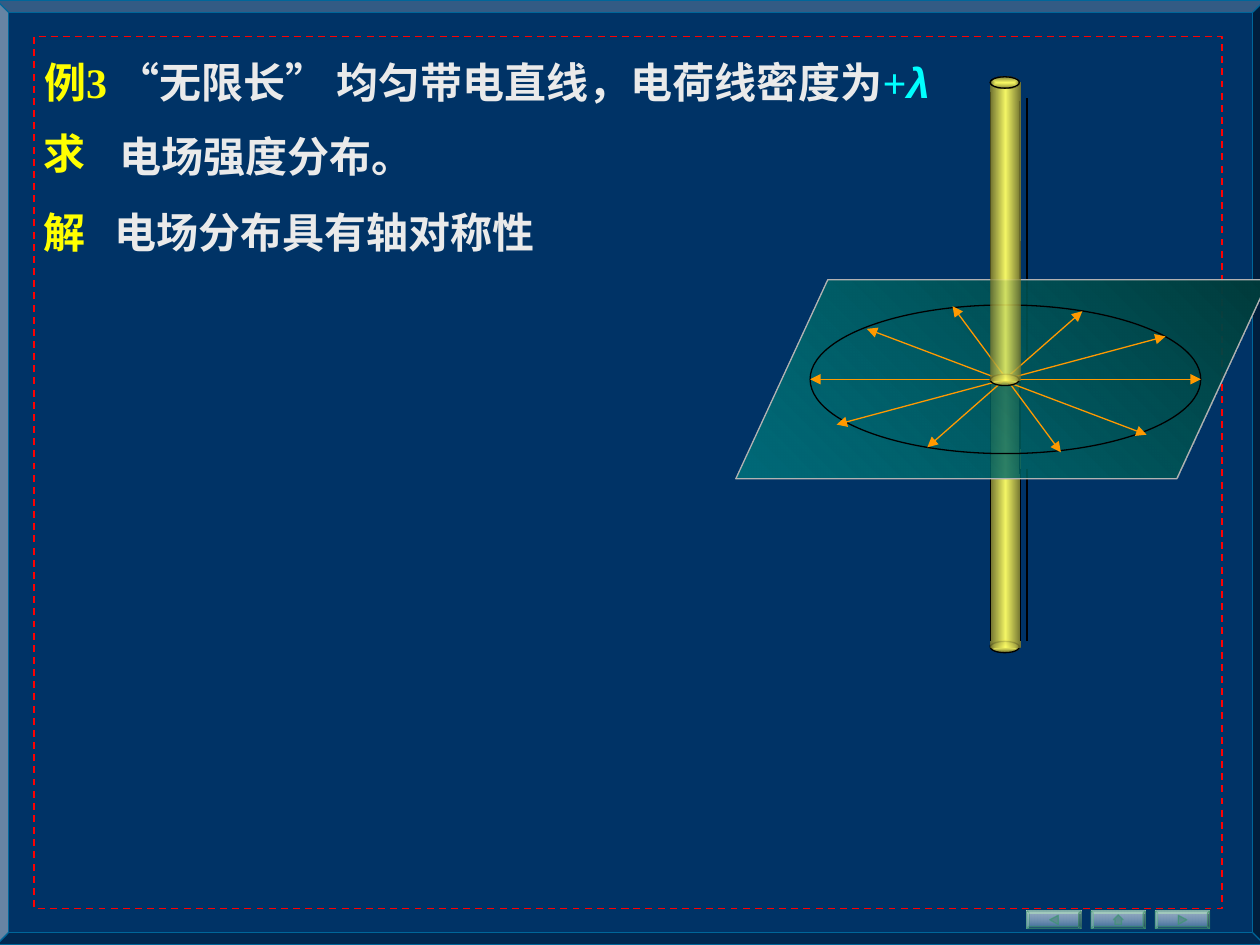
from lxml import etree
from pptx import Presentation, util as u
from pptx.dml.color import RGBColor
from pptx.enum import dml, shapes, text
from pptx.oxml.ns import qn

W, H = 10, 7.5
KIND = shapes.MSO_SHAPE
SONG, ROMAN, SANS = "Noto Sans CJK SC", "Times New Roman", "Arial"
PALE, GOLD, CYAN = "EAEAEA", "FFFF00", "00FFFF"
RIM = [(0, "FFFF66", 90), (100, "75752F", 90)]
TUBE = [(0, "75752F", 80), (50, "FFFF66", 80), (100, "75752F", 80)]
GLASS = [(0, "FFFFFF", 62), (100, "336699", 89)]
PLANE = [(0, "003B3B", 100), (100, "008080", 70)]


def rgb(code):
    return RGBColor.from_string(code)


def add(node, tag, **attrs):
    return etree.SubElement(node, qn(tag), {k: str(v) for k, v in attrs.items()})


def blend(shape, stops, angle=None):
    """Gradient fill with opacity; from the centre when no angle is given."""
    shape.fill.background()
    old = shape._element.spPr.find(qn("a:noFill"))
    grad = etree.Element(qn("a:gradFill"), rotWithShape="1")
    row = add(grad, "a:gsLst")
    for pos, code, alpha in stops:
        stop = add(row, "a:gs", pos=pos * 1000)
        add(add(stop, "a:srgbClr", val=code), "a:alpha", val=alpha * 1000)
    if angle is None:
        way = add(grad, "a:path", path="rect")
        add(way, "a:fillToRect", l=50000, t=50000, r=50000, b=50000)
    else:
        add(grad, "a:lin", ang=angle * 60000, scaled=0)
    old.getparent().replace(old, grad)


def edge(shape, code=None, width=0.75):
    if code is None:
        shape.line.fill.background()
        return
    shape.line.color.rgb = rgb(code)
    shape.line.width = u.Pt(width)


def draw(slide, kind, box, line=None, fill=None, adj=None):
    shape = slide.shapes.add_shape(kind, *map(u.Inches, box))
    shape.shadow.inherit = False
    if adj is not None:
        shape.adjustments[0] = adj
    if fill:
        shape.fill.solid()
        shape.fill.fore_color.rgb = rgb(fill)
    else:
        shape.fill.background()
    edge(shape, line)
    return shape


def wire(slide, start, end, code="000000", arrows=False):
    line = slide.shapes.add_connector(
        shapes.MSO_CONNECTOR.STRAIGHT, *map(u.Inches, (*start, *end)))
    edge(line, code)
    props = line._element.spPr
    if arrows:
        for tag in ("a:headEnd", "a:tailEnd"):
            add(props.find(qn("a:ln")), tag, type="triangle")
    add(props, "a:effectLst")


def write(shape, box, runs, wrap=True, align=text.PP_ALIGN.LEFT):
    """Bold 24 pt line; runs hold (words, font, colour, italic)."""
    shape.left, shape.top, shape.width, shape.height = map(u.Inches, box)
    frame = shape.text_frame
    frame.word_wrap = wrap
    frame.auto_size = text.MSO_AUTO_SIZE.SHAPE_TO_FIT_TEXT
    frame.vertical_anchor = text.MSO_ANCHOR.TOP
    para = frame.paragraphs[0]
    para.alignment = align
    para.font.size, para.font.bold = u.Pt(24), True
    for words, name, code, slant in runs:
        run = para.add_run()
        run.text = words
        run.font.name, run.font.color.rgb = name, rgb(code)
        if slant:
            run.font.italic = True
        add(run._r.get_or_add_rPr(), "a:ea", typeface=SONG)


def button(slide, box, icon):
    """Bevelled key with an icon given as shares of the key."""
    x, y, w, h = box
    key = draw(slide, KIND.BEVEL, box, "339966", adj=0.12)
    pts = [(u.Inches(x + a * w), u.Inches(y + b * h)) for a, b in icon]
    pen = slide.shapes.build_freeform(*pts[0])
    pen.add_line_segments(pts[1:], close=True)
    sign = pen.convert_to_shape()
    sign.shadow.inherit = False
    for part in (key, sign):
        blend(part, GLASS, 90)
        edge(part, "339966", 0)
        tint = part._element.spPr.find(qn("a:ln")).find(".//" + qn("a:srgbClr"))
        add(tint, "a:alpha", val=52000)
    sign.fill.solid()
    sign.fill.fore_color.rgb = rgb("5C8A93")


def border(slide):
    draw(slide, KIND.BEVEL, (-0.03, 0, W + 0.07, H), "006699", "003366", 0.013)
    rule = draw(slide, KIND.RECTANGLE, (0.27, 0.29, 9.43, 6.92), "FF0000")
    rule.line.width = u.Pt(1)
    rule.line.dash_style = dml.MSO_LINE.DASH
    back = [(0.42, 0.5), (0.58, 0.24), (0.58, 0.76)]
    home = [(0.5, 0.22), (0.59, 0.5), (0.56, 0.5), (0.56, 0.76),
            (0.44, 0.76), (0.44, 0.5), (0.41, 0.5)]
    ahead = [(1 - a, b) for a, b in back]
    for i, icon in enumerate((back, home, ahead)):
        button(slide, (8.15 + 0.51 * i, 7.23, 0.43, 0.14), icon)


def words(slide):
    title = slide.shapes.title
    slide.shapes._spTree.append(title._element)  # bring above the border
    write(title, (0.83, 0.4, 7.37, 0.9),
          [("“无限长” 均匀带电直线，电荷线密度为", SONG, PALE, False),
           ("+", ROMAN, CYAN, False), ("λ", SANS, CYAN, True)])
    mid = text.PP_ALIGN.CENTER
    for label, box in (("例3", (0.21, 0.4, 0.78, 0.5)),
                       ("求", (0.25, 0.96, 0.53, 0.5)),
                       ("解", (0.25, 1.59, 0.53, 0.5))):
        write(slide.shapes.add_textbox(0, 0, 0, 0), box,
              [(label, ROMAN, GOLD, False)], False, mid)
    for line, box in (("电场强度分布。", (0.85, 0.99, 3.21, 0.5)),
                      ("电场分布具有轴对称性", (0.81, 1.59, 4.62, 0.5))):
        write(slide.shapes.add_textbox(0, 0, 0, 0), box,
              [(line, SONG, PALE, False)])


def rod(slide, x):
    """Charged rod through a plane with radial field lines."""
    def rim(y):
        blend(draw(slide, KIND.OVAL, (x, y, 0.23, 0.09), "000000"), RIM)

    def tube(y, h):
        blend(draw(slide, KIND.RECTANGLE, (x, y, 0.24, h)), TUBE, 180)

    def sides(gap, top, low, end):
        wire(slide, (x, top), (x, end))
        wire(slide, (x + gap, low), (x + gap, end))

    # Whole rod, then its lower half
    rim(5.08)
    sides(0.29, 3.68, 3.72, 5.09)
    sides(0.29, 0.73, 0.78, 2.86)
    tube(0.66, 4.47)
    rim(0.61)
    rim(5.09)
    tube(3.02, 2.12)
    sides(0.24, 3.68, 3.72, 5.09)
    sides(0.24, 1.87, 1.91, 3.56)
    sides(0.23, 0.73, 0.8, 3.76)

    # Plane and field lines
    sheet = draw(slide, KIND.PARALLELOGRAM, (5.84, 2.22, 4.23, 1.58),
                 "B2B2B2", adj=0.462)
    blend(sheet, PLANE, 135)
    draw(slide, KIND.OVAL, (6.43, 2.42, 3.1, 1.18), "000000")
    for start, end in (((8.59, 2.47), (7.36, 3.55)),
                       ((7.56, 2.43), (8.42, 3.59)),
                       ((6.43, 3.01), (9.53, 3.01)),
                       ((9.25, 2.67), (6.64, 3.37)),
                       ((6.88, 2.61), (9.1, 3.45))):
        wire(slide, start, end, "FF9900", True)

    # Upper half, in front of the plane
    rim(2.97)
    tube(0.66, 2.36)
    rim(0.61)


def main():
    deck = Presentation()
    deck.slide_width, deck.slide_height = u.Inches(W), u.Inches(H)
    slide = deck.slides.add_slide(deck.slide_layouts[5])
    slide.background.fill.solid()
    slide.background.fill.fore_color.rgb = rgb("003366")
    border(slide)
    words(slide)
    rod(slide, 7.86)
    deck.save("out.pptx")


if __name__ == "__main__":
    main()
